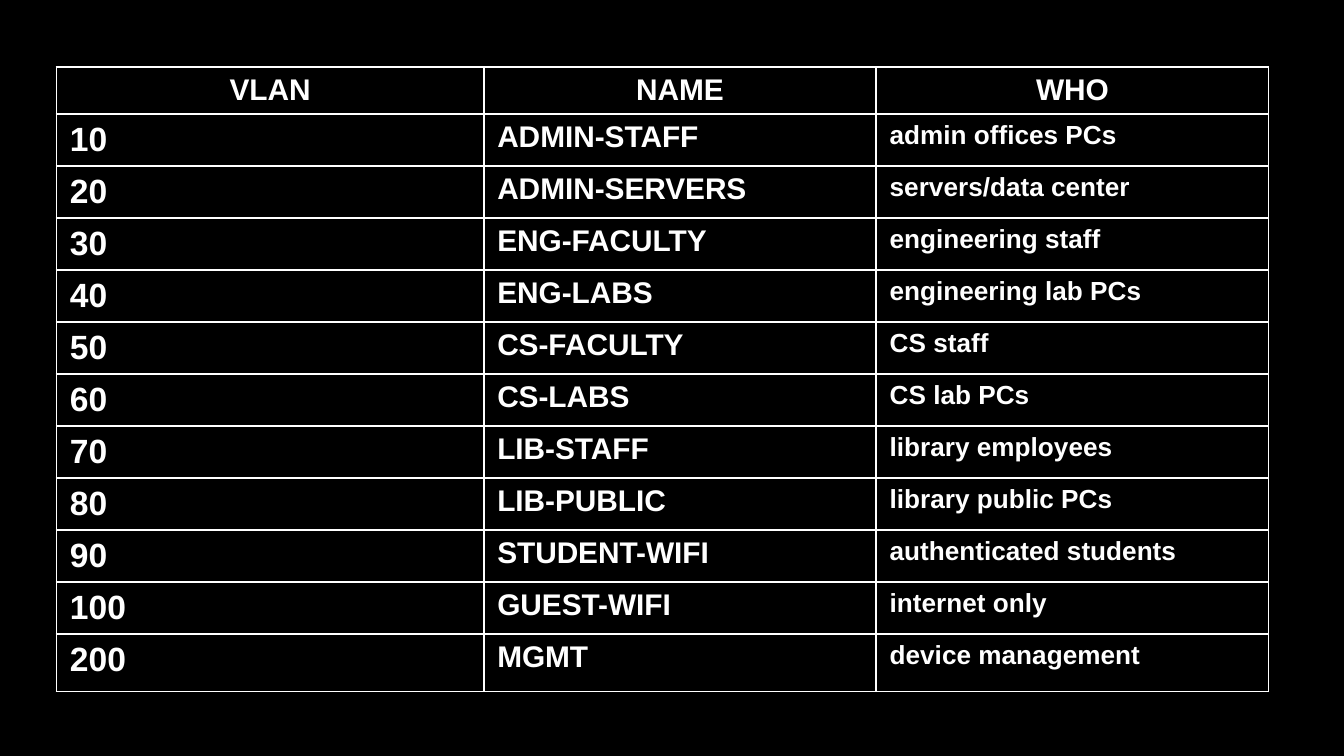
from lxml import etree
from pptx import Presentation
from pptx.dml.color import RGBColor
from pptx.enum.text import PP_ALIGN
from pptx.oxml import parse_xml
from pptx.oxml.ns import nsdecls
from pptx.util import Inches, Pt

CENTER, LEFT = PP_ALIGN.CENTER, PP_ALIGN.LEFT
COLORS = {"back": "000000", "text": "FFFFFF", "line": "FFFFFF"}
FONT = "Arial"

VLANS = [
    ("VLAN", "NAME", "WHO"),
    ("10", "ADMIN-STAFF", "admin offices PCs"),
    ("20", "ADMIN-SERVERS", "servers/data center"),
    ("30", "ENG-FACULTY", "engineering staff"),
    ("40", "ENG-LABS", "engineering lab PCs"),
    ("50", "CS-FACULTY", "CS staff"),
    ("60", "CS-LABS", "CS lab PCs"),
    ("70", "LIB-STAFF", "library employees"),
    ("80", "LIB-PUBLIC", "library public PCs"),
    ("90", "STUDENT-WIFI", "authenticated students"),
    ("100", "GUEST-WIFI", "internet only"),
    ("200", "MGMT", "device management"),
]
WIDTHS = [Inches(3.18), Inches(2.92), Inches(2.92)]
# Ten equal rows between the header and the taller last row
HEIGHTS = [Inches(0.35)] + [Inches(3.87) // 10] * 10 + [Inches(0.43)]
HEAD_SIZE = 16
BODY_SIZES = [18, 16, 14]


def add_borders(cell):
    """Draw a 1 pt line on all four sides; lines come before the fill."""
    props = cell._tc.get_or_add_tcPr()
    for spot, side in enumerate(("lnL", "lnR", "lnT", "lnB")):
        line = parse_xml(f'<a:{side} {nsdecls("a")} w="{Pt(1)}"/>')
        fill = etree.SubElement(line, line.tag.replace(side, "solidFill"))
        etree.SubElement(fill, line.tag.replace(side, "srgbClr"), val=COLORS["line"])
        props.insert(spot, line)


# Widescreen 16:9 slide with a black background
deck = Presentation()
deck.slide_width = Inches(10)
deck.slide_height = Inches(10) * 9 // 16
slide = deck.slides.add_slide(deck.slide_layouts[6])
back = slide.background.fill
back.solid()
back.fore_color.rgb = RGBColor.from_string(COLORS["back"])

# Table grid
table = slide.shapes.add_table(
    len(VLANS), len(WIDTHS), Inches(0.42), Inches(0.5),
    sum(WIDTHS), sum(HEIGHTS)).table
table.horz_banding = False
for column, width in zip(table.columns, WIDTHS):
    column.width = width
for row, height in zip(table.rows, HEIGHTS):
    row.height = height

# Cells: centred header, then one text size per column
for r, words in enumerate(VLANS):
    for c, word in enumerate(words):
        cell = table.cell(r, c)
        cell.fill.solid()
        cell.fill.fore_color.rgb = RGBColor.from_string(COLORS["back"])
        add_borders(cell)
        cell.text = word
        para = cell.text_frame.paragraphs[0]
        para.alignment = CENTER if r == 0 else LEFT
        para.font.name = FONT
        para.font.size = Pt(HEAD_SIZE if r == 0 else BODY_SIZES[c])
        para.font.bold = True
        para.font.color.rgb = RGBColor.from_string(COLORS["text"])

deck.save("out.pptx")
